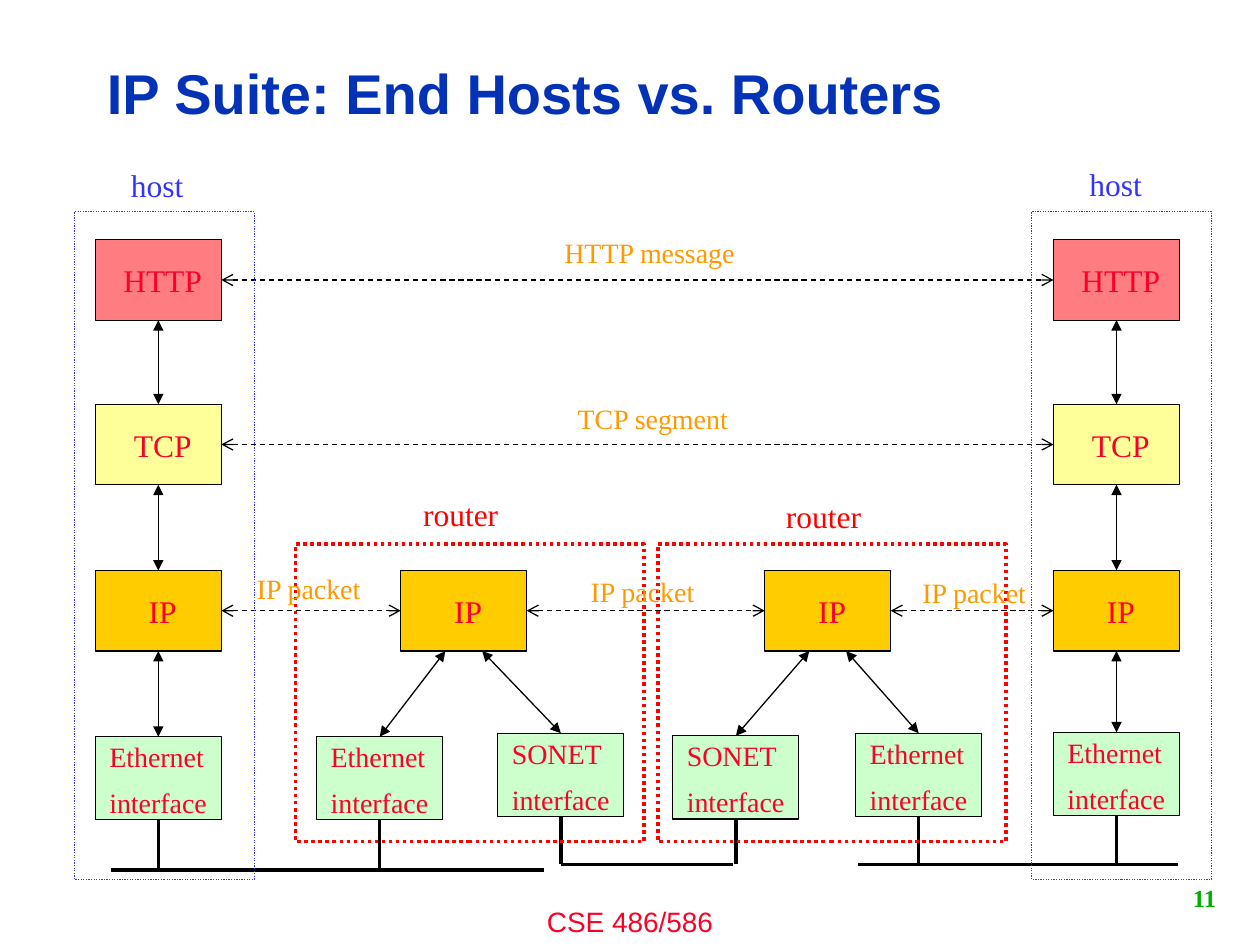
"""Build the slide on the IP suite at end hosts and routers."""
import pptx
import pptx.util
from lxml import etree
from pptx.dml.color import RGBColor
from pptx.enum.dml import MSO_LINE
from pptx.enum.shapes import MSO_CONNECTOR, MSO_SHAPE
from pptx.enum.text import MSO_ANCHOR, PP_ALIGN
from pptx.oxml.ns import qn

Pt = pptx.util.Pt

BLACK = RGBColor(0x00, 0x00, 0x00)
RED = RGBColor(0xFF, 0x00, 0x00)
CRIMSON = RGBColor(0xFC, 0x01, 0x28)
NAVY = RGBColor(0x03, 0x32, 0xB7)
BLUE = RGBColor(0x33, 0x33, 0xFF)
AMBER = RGBColor(0xFF, 0x99, 0x00)
LEAF = RGBColor(0x00, 0xAE, 0x00)
ROSE = RGBColor(0xFF, 0x7C, 0x80)
CREAM = RGBColor(0xFF, 0xFF, 0x99)
GOLD = RGBColor(0xFF, 0xCC, 0x00)
MINT = RGBColor(0xCC, 0xFF, 0xCC)
SERIF, SANS = "Times New Roman", "Arial"
TOP, LEFT, BOTTOM, RIGHT = range(4)

WIDE = 72
TALL, SHORT = 46, 47.5
SPREAD = 10.5
LAYERS = [("HTTP", 137, ROSE), ("TCP", 231, CREAM), ("IP", 326, GOLD)]
HOSTS = [54.5, 602]
ROUTERS = [229, 437]
PORTS = [
    ("Ethernet", 54.5, 421),
    ("Ethernet", 181, 421),
    ("SONET", 284.5, 419),
    ("SONET", 384.5, 420.5),
    ("Ethernet", 489, 419),
    ("Ethernet", 602, 418.5),
]
BUSES = [(63.5, 311, 497), (320.5, 419, 494), (490.5, 673, 494)]
FRAMES = [
    (42.5, 121, 103, 381.5, BLUE, 0.75),
    (589.5, 121, 103, 381.5, BLUE, 0.75),
    (169, 311, 199, 170, RED, 2),
    (376, 311, 199, 170, RED, 2),
]
LABELS = [
    ("host", 67.7, 91.4, 47, 18, BLUE),
    ("host", 615.5, 90.5, 47, 18, BLUE),
    ("router", 234.7, 279.5, 63, 18, RED),
    ("router", 442, 280.3, 63, 18, RED),
    ("HTTP message", 315.4, 131, 118, 16, AMBER),
    ("TCP segment", 323, 226, 106, 16, AMBER),
    ("IP packet", 139.7, 323, 80, 16, AMBER),
    ("IP packet", 330.5, 324.5, 80, 16, AMBER),
    ("IP packet", 520, 325.5, 80, 16, AMBER),
]


def style(par, size, color, face=SERIF, bold=False, align=PP_ALIGN.LEFT):
    par.alignment = align
    par.font.name = face
    par.font.size = Pt(size)
    par.font.bold = bold
    par.font.color.rgb = color


def label(slide, text, x, y, w, size, color, h=29, wrap=False, **look):
    frame = slide.shapes.add_textbox(Pt(x), Pt(y), Pt(w), Pt(h)).text_frame
    frame.word_wrap = wrap
    frame.text = text
    style(frame.paragraphs[0], size, color, **look)
    return frame


def rect(slide, x, y, w, h, fill=None, line=BLACK, weight=0.75):
    shape = slide.shapes.add_shape(
        MSO_SHAPE.RECTANGLE, Pt(x), Pt(y), Pt(w), Pt(h))
    shape.shadow.inherit = False
    if fill is None:
        shape.fill.background()
    else:
        shape.fill.solid()
        shape.fill.fore_color.rgb = fill
    shape.line.color.rgb = line
    shape.line.width = Pt(weight)
    return shape


def layer(slide, text, x, y, fill):
    shape = rect(slide, x, y, WIDE, TALL, fill)
    frame = shape.text_frame
    frame.margin_left, frame.margin_right = Pt(5), 0
    frame.vertical_anchor = MSO_ANCHOR.MIDDLE
    frame.text = text
    style(frame.paragraphs[0], 18, CRIMSON, align=PP_ALIGN.CENTER)
    return shape


def port(slide, name, x, y):
    shape = rect(slide, x, y, WIDE, SHORT, MINT)
    frame = shape.text_frame
    frame.margin_left, frame.margin_top = Pt(8), Pt(4)
    frame.margin_right = frame.margin_bottom = 0
    frame.vertical_anchor = MSO_ANCHOR.TOP
    frame.text = f"{name}\ninterface"
    for par in frame.paragraphs:
        par.line_spacing = 0.9
        style(par, 16, CRIMSON)
    frame.paragraphs[1].space_before = Pt(9)
    return shape


def link(slide, start, end, head=None, weight=0.75, dash=None):
    """Draw a line between ends given as (x, y) or as (shape, side)."""
    line = slide.shapes.add_connector(MSO_CONNECTOR.STRAIGHT, 0, 0, 0, 0)
    if isinstance(start[0], (int, float)):
        line.begin_x, line.begin_y = Pt(start[0]), Pt(start[1])
    else:
        line.begin_connect(*start)
    if isinstance(end[0], (int, float)):
        line.end_x, line.end_y = Pt(end[0]), Pt(end[1])
    else:
        line.end_connect(*end)
    line.line.color.rgb = BLACK
    line.line.width = Pt(weight)
    if dash:
        line.line.dash_style = dash
    if head:
        props = line.line._get_or_add_ln()
        for tag in ("a:headEnd", "a:tailEnd"):
            etree.SubElement(props, qn(tag), type=head)
    etree.SubElement(line._element.spPr, qn("a:effectLst"))


def main():
    deck = pptx.Presentation()
    deck.slide_width, deck.slide_height = Pt(720), Pt(540)
    slide = deck.slides.add_slide(deck.slide_layouts[6])

    title = label(slide, "IP Suite: End Hosts vs. Routers", 54, 26, 574.5, 32,
                  NAVY, h=58, wrap=True, face=SANS, bold=True)
    title.vertical_anchor = MSO_ANCHOR.MIDDLE
    title.paragraphs[0].line_spacing = 0.9
    label(slide, "CSE 486/586", 240, 513.4, 240, 16, CRIMSON, h=26.6,
          wrap=True, face=SANS, align=PP_ALIGN.CENTER)
    page = label(slide, "11", 630, 498.2, 72, 14, LEAF, h=30, wrap=True,
                 bold=True, align=PP_ALIGN.RIGHT)
    page.vertical_anchor = MSO_ANCHOR.MIDDLE

    stacks = [[layer(slide, name, x, y, fill) for name, y, fill in LAYERS]
              for x in HOSTS]
    name, level, fill = LAYERS[-1]
    routers = [layer(slide, name, x, level, fill) for x in ROUTERS]
    ports = [port(slide, *item) for item in PORTS]

    for stack, last in zip(stacks, (ports[0], ports[-1])):
        chain = stack + [last]
        for upper, lower in zip(chain, chain[1:]):
            link(slide, (upper, BOTTOM), (lower, TOP), "triangle")

    for i, x in enumerate(ROUTERS):
        for side, end in zip((-1, 1), ports[2 * i + 1:2 * i + 3]):
            start = (x + WIDE / 2 + side * SPREAD, level + TALL)
            link(slide, start, (end, TOP), "triangle")

    near, far = stacks
    hops = [near[-1], *routers, far[-1]]
    peers = list(zip(near[:-1], far[:-1])) + list(zip(hops, hops[1:]))
    for a, b in peers:
        link(slide, (a, RIGHT), (b, LEFT), "arrow", dash=MSO_LINE.DASH)

    for i, (left, right, y) in enumerate(BUSES):
        link(slide, (left, y), (right, y), weight=2)
        for j in (2 * i, 2 * i + 1):
            drop = (PORTS[j][1] + WIDE / 2, y)
            link(slide, (ports[j], BOTTOM), drop, weight=2)

    for x, y, w, h, color, weight in FRAMES:
        frame = rect(slide, x, y, w, h, line=color, weight=weight)
        frame.line.dash_style = MSO_LINE.ROUND_DOT
    for item in LABELS:
        label(slide, *item)

    deck.save("out.pptx")


if __name__ == "__main__":
    main()
